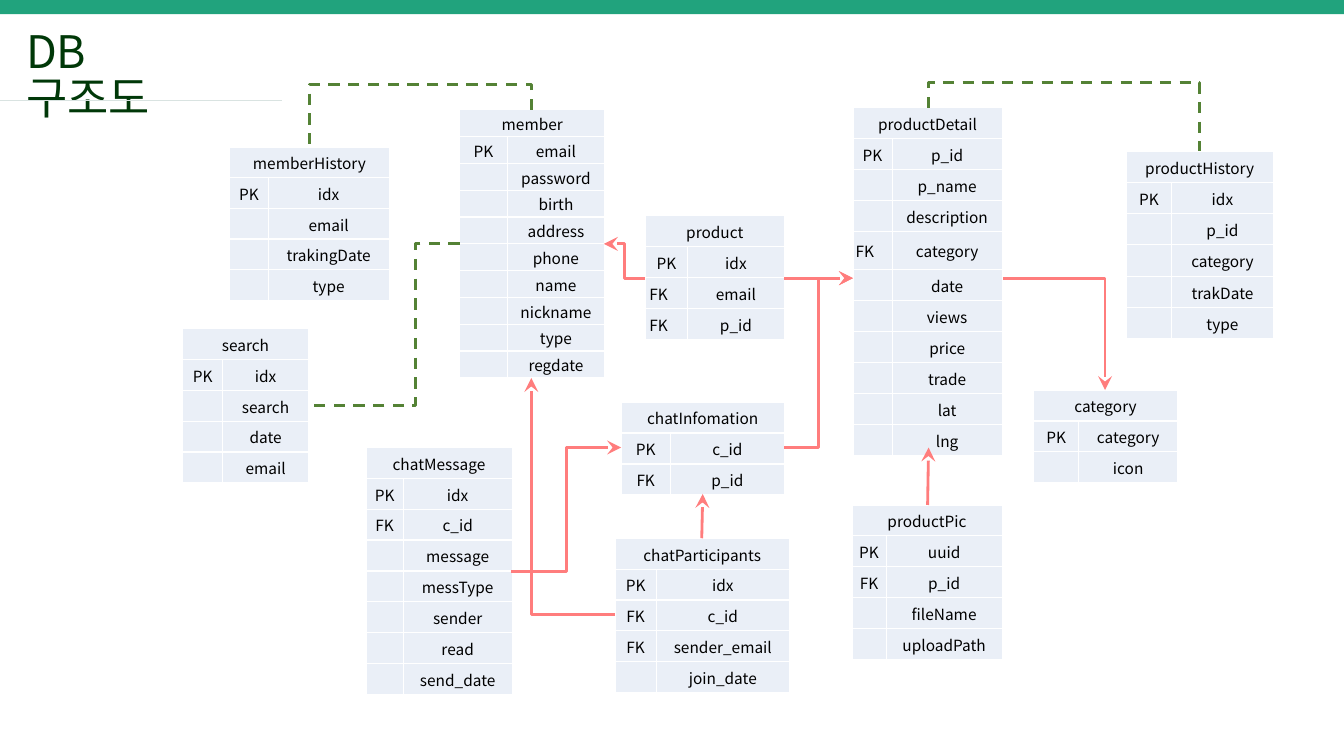
"""Build the slide with the database structure diagram."""
from dataclasses import dataclass

from lxml.etree import SubElement
from pptx import Presentation
from pptx.dml.color import RGBColor
from pptx.enum.dml import MSO_LINE_DASH_STYLE as Dash
from pptx.enum.shapes import MSO_CONNECTOR as Conn, MSO_SHAPE as Shape
from pptx.enum.text import MSO_ANCHOR as Anchor, PP_ALIGN as Align
from pptx.oxml.ns import qn
from pptx.util import Inches, Pt

FONT = "Noto Sans CJK KR"
RED, GREEN, GREY = "FF7D7D", "548235", "D9E3E1"


@dataclass
class Entity:
    name: str
    x: float
    y: float
    key_w: float
    field_w: float
    height: float
    keys: list[str]
    fields: str


@dataclass
class Link:
    begin: tuple[float, float]
    end: tuple[float, float]
    color: str = RED
    preset: str = "line"
    adj: float = 0.5
    turned: bool = False
    width: float = 2


ENTITIES = [
    Entity("member", 4.56, 1.09, 0.47, 0.97, 2.66, ["PK"],
           "email password birth address phone name nickname type regdate"),
    Entity("memberHistory", 2.28, 1.46, 0.38, 1.2, 1.52, ["PK"],
           "idx email trakingDate type"),
    Entity("search", 1.81, 3.26, 0.4, 0.85, 1.53, ["PK"],
           "idx search date email"),
    Entity("category", 10.25, 3.87, 0.45, 0.98, 0.92, ["PK"],
           "category icon"),
    Entity("productDetail", 8.46, 1.07, 0.39, 1.09, 3.38,
           ["PK", "", "", "FK　"],
           "p_id p_name description category date views price trade lat lng"),
    Entity("product", 6.4, 2.14, 0.42, 0.96, 1.23, ["PK", "FK　", "FK　"],
           "idx email p_id"),
    Entity("productPic", 8.45, 5.01, 0.34, 1.15, 1.53, ["PK", "FK"],
           "uuid p_id fileName uploadPath"),
    Entity("productHistory", 11.17, 1.5, 0.45, 1.01, 1.86, ["PK"],
           "idx p_id category trakDate type"),
    Entity("chatInfomation", 6.16, 3.99, 0.49, 1.13, 0.92, ["PK", "FK"],
           "c_id p_id"),
    Entity("chatParticipants", 6.1, 5.34, 0.41, 1.32, 1.53,
           ["PK", "FK", "FK"], "idx c_id sender_email join_date"),
    Entity("chatMessage", 3.63, 4.44, 0.37, 1.08, 2.45, ["PK", "FK"],
           "idx c_id message messType sender read send_date"),
]

LINKS = [
    Link((7.78, 2.76), (8.46, 2.76)),
    Link((9.95, 2.76), (10.96, 3.87), preset="bentConnector2"),
    Link((9.2, 5.01), (9.21, 4.44)),
    Link((7.78, 4.44), (8.46, 2.76), preset="bentConnector3"),
    Link((6.96, 5.34), (6.97, 4.9)),
    Link((5.07, 5.67), (6.16, 4.44), preset="bentConnector3"),
    Link((6.4, 2.76), (5.99, 2.42), preset="bentConnector3"),
    Link((9.21, 1.07), (11.9, 1.5), GREEN, "bentConnector3", -0.58, True),
    Link((5.27, 1.09), (3.07, 1.46), GREEN, "bentConnector3", -0.68, True),
    Link((-0.17, 1), (2.8, 1), GREY, width=1),
    Link((4.56, 2.42), (3.05, 4.02), GREEN, "bentConnector3", 0.29),
    Link((6.1, 6.1), (5.27, 3.75), preset="bentConnector2"),
]


def rgb(value: str) -> RGBColor:
    return RGBColor.from_string(value)


def style_text(p, size: float, color: str) -> None:
    for r in p.runs:
        r.font.size = Pt(size)
        r.font.name = FONT
        r.font.color.rgb = rgb(color)
        SubElement(r._r.get_or_add_rPr(), qn("a:ea")).set("typeface", FONT)


def style_cell(cell, text: str) -> None:
    cell.margin_left = cell.margin_right = cell.margin_top = Inches(0.01)
    cell.margin_bottom = 0
    cell.vertical_anchor = Anchor.MIDDLE
    p = cell.text_frame.paragraphs[0]
    p.text = text
    p.alignment = Align.CENTER
    style_text(p, 11, "000000")
    if not text:
        SubElement(p._p, qn("a:endParaRPr")).set("sz", "1100")
    tc_pr = cell._tc.get_or_add_tcPr()
    for side in ("lnL", "lnR", "lnT", "lnB"):
        ln = SubElement(tc_pr, qn(f"a:{side}"), w=str(Pt(1)))
        fill = SubElement(ln, qn("a:solidFill"))
        SubElement(fill, qn("a:srgbClr")).set("val", "FFFFFF")
    cell.fill.solid()
    cell.fill.fore_color.rgb = rgb("EAEFF7")


def draw_entity(s, e: Entity) -> None:
    fields = e.fields.split()
    keys = e.keys + [""] * (len(fields) - len(e.keys))
    rows = [(e.name, ""), *zip(keys, fields)]
    table = s.shapes.add_table(
        len(rows), 2, Inches(e.x), Inches(e.y),
        Inches(e.key_w + e.field_w), Inches(e.height)).table
    table.first_row = table.horz_banding = False
    for column, width in zip(table.columns, (e.key_w, e.field_w)):
        column.width = Inches(width)
    for i, row in enumerate(rows):
        table.rows[i].height = Inches(e.height / len(rows))
        for j, text in enumerate(row):
            style_cell(table.cell(i, j), text)
    table.cell(0, 0).merge(table.cell(0, 1))


def draw_link(s, link: Link) -> None:
    (x1, y1), (x2, y2) = link.begin, link.end
    if link.turned:
        cx, cy = (x1 + x2) / 2, (y1 + y2) / 2
        dx, dy = x1 - cx, y1 - cy
        x1, y1, x2, y2 = cx - dy, cy + dx, cx + dy, cy - dx
    kind = Conn.STRAIGHT if link.preset == "line" else Conn.ELBOW
    c = s.shapes.add_connector(
        kind, Inches(x1), Inches(y1), Inches(x2), Inches(y2))
    c.line.color.rgb = rgb(link.color)
    c.line.width = Pt(link.width)
    sp_pr = c._element.spPr
    geom = sp_pr.find(qn("a:prstGeom"))
    geom.set("prst", link.preset)
    if link.preset == "bentConnector3":
        SubElement(geom.find(qn("a:avLst")), qn("a:gd"), name="adj1",
                   fmla=f"val {round(link.adj * 100000)}")
    if link.turned:
        sp_pr.find(qn("a:xfrm")).set("rot", str(270 * 60000))
    if link.color == GREEN:
        c.line.dash_style = Dash.DASH
    if link.color == RED:
        SubElement(sp_pr.find(qn("a:ln")), qn("a:tailEnd"),
                   type="stealth", w="lg", len="lg")
    SubElement(sp_pr, qn("a:effectLst"))


def draw_header(s) -> None:
    bar = s.shapes.add_shape(
        Shape.RECTANGLE, 0, 0, Inches(13.33), Inches(0.14))
    bar.shadow.inherit = False
    bar.fill.solid()
    bar.fill.fore_color.rgb = rgb("21A37D")
    bar.line.fill.background()
    title = s.shapes.add_textbox(
        Inches(0.16), Inches(0.27), Inches(2.15), Inches(0.64))
    tf = title.text_frame
    tf.word_wrap = True
    tf.margin_right = Inches(0.5)
    tf.text = "DB 구조도"
    tf.paragraphs[0].line_spacing = 0.85
    style_text(tf.paragraphs[0], 32, "003808")


def main() -> None:
    prs = Presentation()
    prs.slide_width, prs.slide_height = Inches(13.33), Inches(7.5)
    s = prs.slides.add_slide(prs.slide_layouts[6])
    draw_header(s)
    for entity in ENTITIES:
        draw_entity(s, entity)
    for link in LINKS:
        draw_link(s, link)
    prs.save("out.pptx")


if __name__ == "__main__":
    main()
